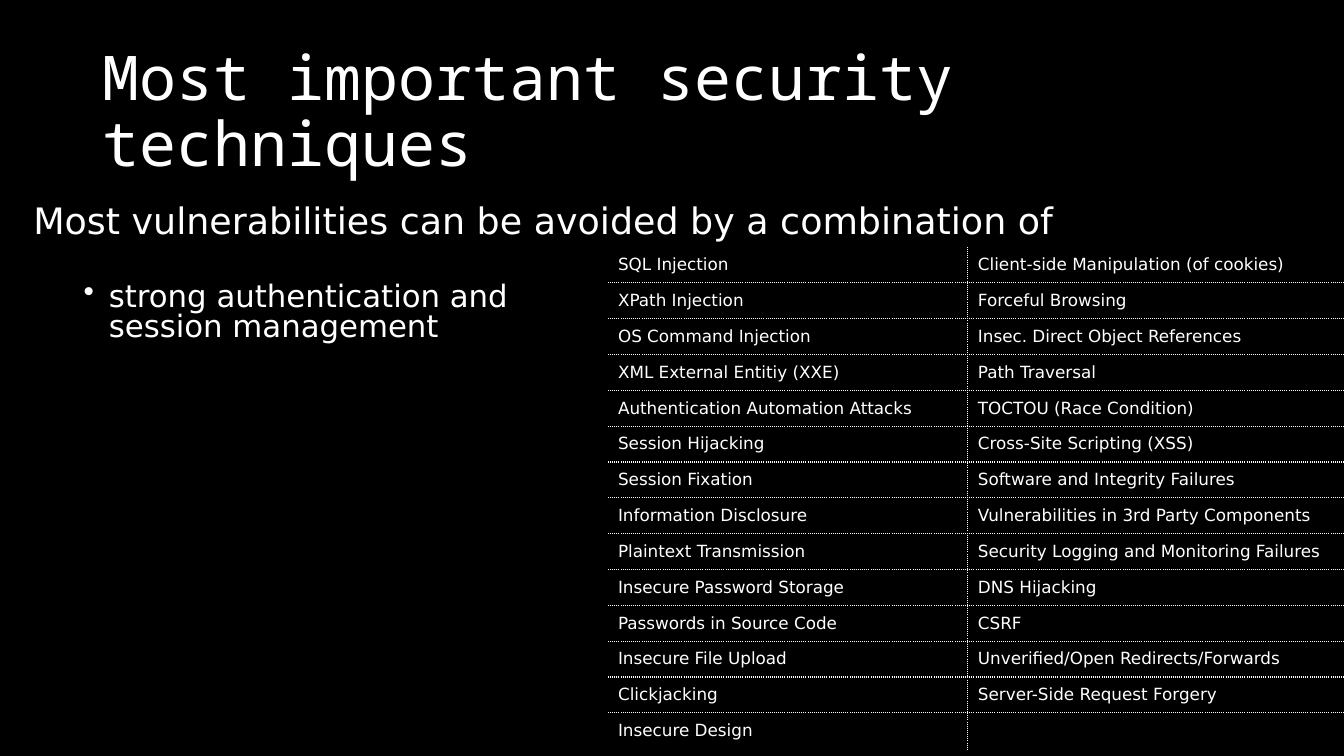
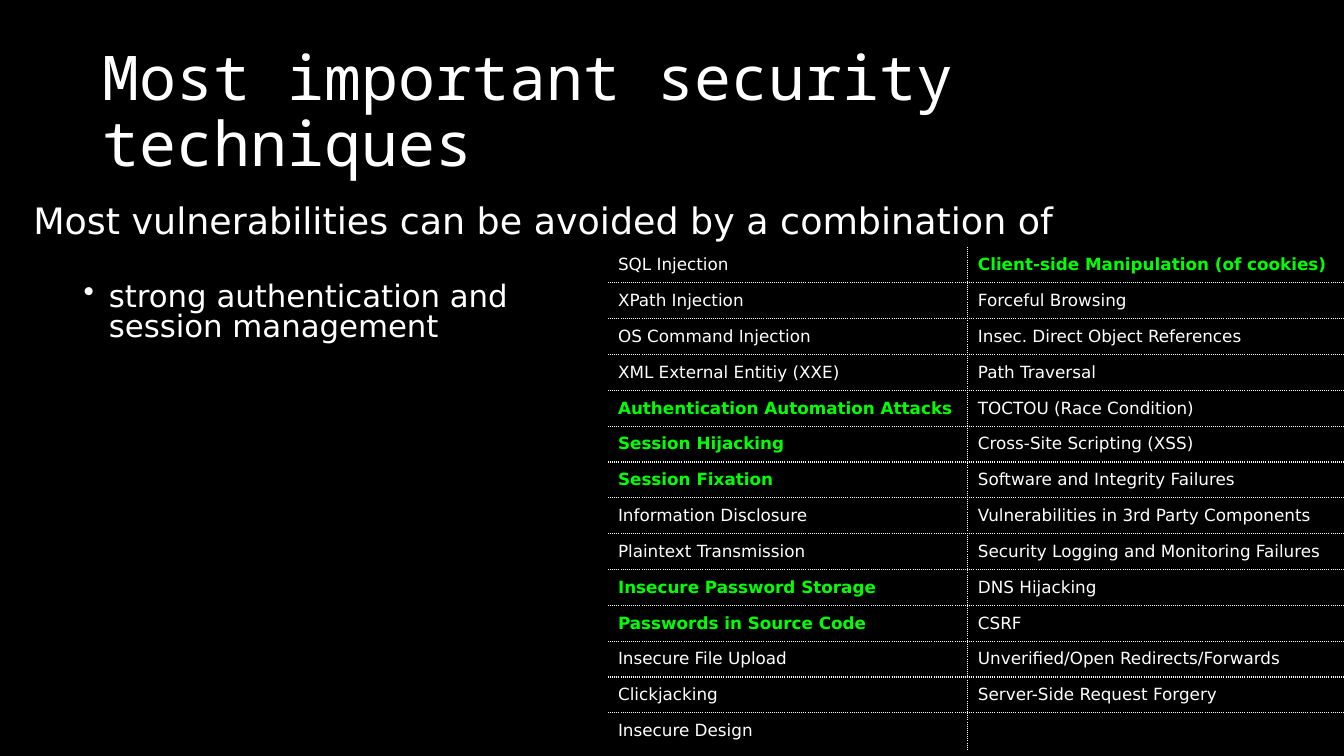
"""Build two slides on security techniques and the vulnerabilities they prevent."""
from lxml.etree import SubElement
from pptx import Presentation
from pptx.dml.color import RGBColor
from pptx.enum.text import MSO_ANCHOR as Anchor, MSO_AUTO_SIZE as AutoSize
from pptx.oxml import parse_xml
from pptx.oxml.ns import nsdecls, qn
from pptx.util import Inches, Pt

WIDTH, HEIGHT = 13.33, 7.5
BLACK, WHITE, GREEN = "000000", "FFFFFF", "00FF00"
TEXT_FONT, TITLE_FONT = "DejaVu Sans", "Noto Sans Mono"
NO_GRID_STYLE = "{2D5ABB26-0587-4C30-8999-92F81FD0307C}"

TITLE = "Most important security techniques"
INTRO = "Most vulnerabilities can be avoided by a combination of"
TECHNIQUE = "strong authentication and\vsession management"
VULNERABILITIES = [
    ("SQL Injection", "Client-side Manipulation (of cookies)"),
    ("XPath Injection", "Forceful Browsing"),
    ("OS Command Injection", "Insec. Direct Object References"),
    ("XML External Entitiy (XXE)", "Path Traversal"),
    ("Authentication Automation Attacks", "TOCTOU (Race Condition)"),
    ("Session Hijacking", "Cross-Site Scripting (XSS)"),
    ("Session Fixation", "Software and Integrity Failures"),
    ("Information Disclosure", "Vulnerabilities in 3rd Party Components"),
    ("Plaintext Transmission", "Security Logging and Monitoring Failures"),
    ("Insecure Password Storage", "DNS Hijacking"),
    ("Passwords in Source Code", "CSRF"),
    ("Insecure File Upload", "Unverified/Open Redirects/Forwards"),
    ("Clickjacking", "Server-Side Request Forgery"),
    ("Insecure Design", ""),
]
PREVENTED = {
    "Client-side Manipulation (of cookies)",
    "Authentication Automation Attacks",
    "Session Hijacking",
    "Session Fixation",
    "Insecure Password Storage",
    "Passwords in Source Code",
}
HIGHLIGHTS = [set(), PREVENTED]

PLACEHOLDERS = [(0.92, 0.4, 11.89, 1.45), (0.23, 2, 13.28, 1.6)]
TABLE_LEFT, TABLE_TOP, ROW_HEIGHT = 6.03, 2.45, 0.35
COLUMN_WIDTHS = [3.57, 3.73]
CELL_FORMAT = {
    "margin_left": Inches(0.1),
    "margin_right": Inches(0.1),
    "margin_top": Inches(0.08),
    "margin_bottom": Inches(0.08),
    "vertical_anchor": Anchor.MIDDLE,
}
LEVELS = [
    ("titleStyle", 1, dict(font=TITLE_FONT, size=44, spacing=90)),
    ("bodyStyle", 1, dict(size=26, spacing=80, before=10)),
    ("bodyStyle", 2, dict(size=22, spacing=80, before=30.5,
                          margin=0.75, indent=-0.25, bullet="•")),
]


def color(value):
    return RGBColor.from_string(value)


def set_level(master, style, level, size, spacing, font=TEXT_FONT,
              before=0, margin=0, indent=0, bullet=""):
    mark = f'<a:buChar char="{bullet}"/>' if bullet else "<a:buNone/>"
    old = master.element.find(f".//{qn('p:' + style)}/{qn(f'a:lvl{level}pPr')}")
    new = parse_xml(
        f'<a:lvl{level}pPr {nsdecls("a")} algn="l" marL="{Inches(margin)}"'
        f' indent="{Inches(indent)}">'
        f'<a:lnSpc><a:spcPct val="{spacing * 1000}"/></a:lnSpc>'
        f'<a:spcBef><a:spcPts val="{int(before * 100)}"/></a:spcBef>{mark}'
        f'<a:defRPr sz="{size * 100}"><a:solidFill><a:srgbClr val="{WHITE}"/>'
        f'</a:solidFill><a:latin typeface="{font}"/></a:defRPr></a:lvl{level}pPr>')
    old.getparent().replace(old, new)


def set_template(deck):
    deck.slide_width, deck.slide_height = Inches(WIDTH), Inches(HEIGHT)
    master, layout = deck.slide_master, deck.slide_layouts[1]
    master.background.fill.solid()
    master.background.fill.fore_color.rgb = color(BLACK)
    for style, level, values in LEVELS:
        set_level(master, style, level, **values)
    for box, place in zip(layout.placeholders, PLACEHOLDERS):
        for name, length in zip(("left", "top", "width", "height"), place):
            setattr(box, name, Inches(length))
        box.text_frame.auto_size = AutoSize.NONE
    return layout


def add_border(cell, side):
    line = SubElement(cell._tc.get_or_add_tcPr(), qn(f"a:ln{side}"), w=str(Pt(1)))
    fill = SubElement(line, qn("a:solidFill"))
    SubElement(fill, qn("a:srgbClr"), val=WHITE)
    SubElement(line, qn("a:prstDash"), val="sysDot")


def fill_cell(cell, text, highlighted):
    for name, value in CELL_FORMAT.items():
        setattr(cell, name, value)
    para = cell.text_frame.paragraphs[0]
    if not text:
        SubElement(para._p, qn("a:endParaRPr"), sz="1200")
        return
    span = para.add_run()
    span.text = text
    for name, value in {"name": TEXT_FONT, "size": Pt(12), "bold": highlighted}.items():
        setattr(span.font, name, value)
    span.font.color.rgb = color(GREEN if highlighted else WHITE)


def add_vulnerabilities(page, highlights):
    rows, columns = len(VULNERABILITIES), len(COLUMN_WIDTHS)
    frame = page.shapes.add_table(
        rows, columns, Inches(TABLE_LEFT), Inches(TABLE_TOP),
        Inches(sum(COLUMN_WIDTHS)), Inches(ROW_HEIGHT * rows))
    table = frame.table
    table.first_row = table.horz_banding = False
    table._tbl.tblPr.find(qn("a:tableStyleId")).text = NO_GRID_STYLE
    for column, width in zip(table.columns, COLUMN_WIDTHS):
        column.width = Inches(width)
    for row, names in enumerate(VULNERABILITIES):
        for column, name in enumerate(names):
            cell = table.cell(row, column)
            fill_cell(cell, name, name in highlights)
            inner_sides = {"L": column > 0, "R": column < columns - 1,
                           "T": row > 0, "B": row < rows - 1}
            for side, inner in inner_sides.items():
                if inner:
                    add_border(cell, side)
            cell.fill.background()


def add_page(deck, layout, highlights):
    page = deck.slides.add_slide(layout)
    page.shapes.title.text = TITLE
    body = page.placeholders[1].text_frame
    body.text = INTRO
    para = body.add_paragraph()
    para.text, para.level = TECHNIQUE, 1
    add_vulnerabilities(page, highlights)


def main():
    deck = Presentation()
    layout = set_template(deck)
    for highlights in HIGHLIGHTS:
        add_page(deck, layout, highlights)
    deck.save("out.pptx")


if __name__ == "__main__":
    main()
